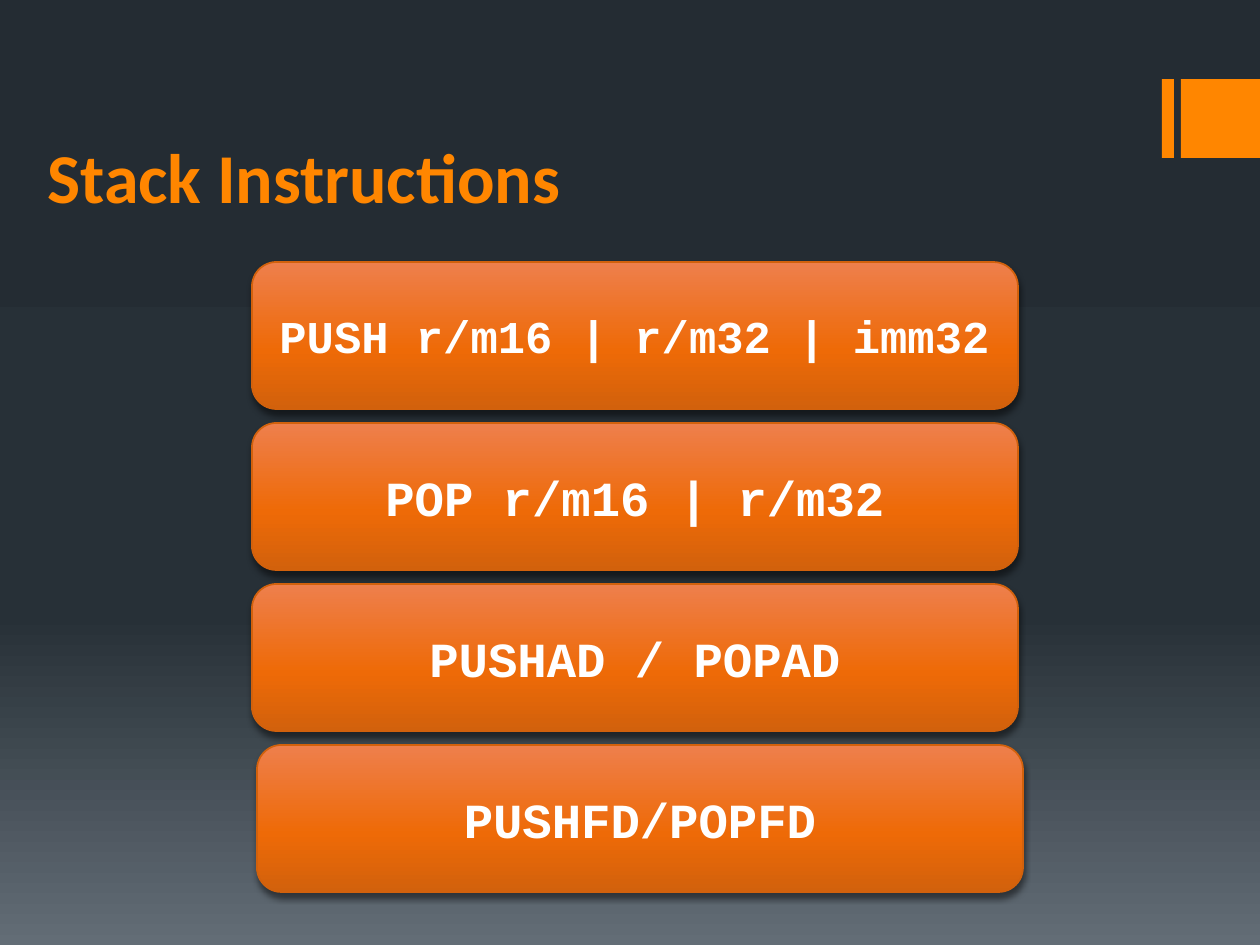
import pptx
import pptx.util
import pptx.dml.color
import pptx.enum.shapes
import pptx.enum.text
import pptx.oxml.ns
import lxml.etree

SCALE = 914400 / 126
ORANGE = "FF8600"
WHITE = "FFFFFF"
EDGE = "D2610C"
BACK = [(0, "242C33"), (65, "273037"), (100, "636D76")]
GLOW = [(0, "EE7F4C"), (60, "EE6A07"), (100, EDGE)]
KIND = pptx.enum.shapes.MSO_SHAPE
ALIGN = pptx.enum.text.PP_ALIGN
ANCHOR = pptx.enum.text.MSO_ANCHOR


def px(*sizes):
    """Turn pixels into EMU."""
    return [pptx.util.Emu(round(size * SCALE)) for size in sizes]


def color(code):
    """Turn a hex string into a colour."""
    return pptx.dml.color.RGBColor.from_string(code)


def add(root, tag, **attrs):
    """Append a drawing element with attributes."""
    node = lxml.etree.SubElement(root, pptx.oxml.ns.qn(tag))
    for name, value in attrs.items():
        node.set(name, str(value))
    return node


def blend(fill, root, stops):
    """Fill downwards with a gradient of (percent, colour) stops."""
    fill.gradient()
    fill.gradient_angle = 270
    rows = next(root.iter(pptx.oxml.ns.qn("a:gsLst")))
    for stop in list(rows):
        rows.remove(stop)
    for place, code in stops:
        add(add(rows, "a:gs", pos=place * 1000), "a:srgbClr", val=code)


def shade(shape):
    """Give a shape a soft shadow below it."""
    shape.shadow.inherit = False
    list_ = shape._element.spPr.find(pptx.oxml.ns.qn("a:effectLst"))
    drop = add(list_, "a:outerShdw", blurRad=pptx.util.Pt(3.8),
               dist=pptx.util.Pt(3), dir=5400000, rotWithShape=0)
    tint = add(drop, "a:srgbClr", val="000000")
    add(tint, "a:alpha", val=48000)


def write(shape, text, size=28, font="Courier New", code=WHITE,
          align=ALIGN.CENTER, anchor=ANCHOR.MIDDLE):
    """Put bold text into a shape."""
    frame = shape.text_frame
    frame.word_wrap = True
    frame.vertical_anchor = anchor
    para = frame.paragraphs[0]
    para.alignment = align
    run = para.add_run()
    run.text = text
    run.font.size = pptx.util.Pt(size)
    run.font.name = font
    run.font.bold = True
    run.font.color.rgb = color(code)


def block(slide, left, top, width, height):
    """Draw a plain orange block."""
    shape = slide.shapes.add_shape(KIND.RECTANGLE, *px(left, top, width, height))
    shape.shadow.inherit = False
    shape.fill.solid()
    shape.fill.fore_color.rgb = color(ORANGE)
    shape.line.fill.background()


def button(slide, left, top, text, size=28):
    """Draw a glossy rounded box with an instruction."""
    shape = slide.shapes.add_shape(KIND.FLOWCHART_ALTERNATE_PROCESS,
                                   *px(left, top, 766, 147))
    blend(shape.fill, shape._element, GLOW)
    shape.line.color.rgb = color(EDGE)
    shape.line.width = pptx.util.Pt(1)
    shade(shape)
    write(shape, text, size=size)


def main():
    """Build the slide and save it."""
    deck = pptx.Presentation()
    deck.slide_width, deck.slide_height = px(1260, 945)
    slide = deck.slides.add_slide(deck.slide_layouts[6])
    blend(slide.background.fill, slide._element, BACK)

    for left, width in [(1162, 12), (1181, 79)]:
        block(slide, left, 79, width, 79)

    title = slide.shapes.add_textbox(*px(35, 66, 1108, 158))
    write(title, "Stack Instructions", size=40, font="Calibri", code=ORANGE,
          align=ALIGN.LEFT, anchor=ANCHOR.BOTTOM)

    rows = [(252, "PUSH r/m16 | r/m32 | imm32", 26),
            (252, "POP r/m16 | r/m32", 28),
            (252, "PUSHAD / POPAD", 28),
            (257, "PUSHFD/POPFD", 28)]
    for index, (left, text, size) in enumerate(rows):
        button(slide, left, 262 + 161 * index, text, size)

    deck.save("out.pptx")


main()
